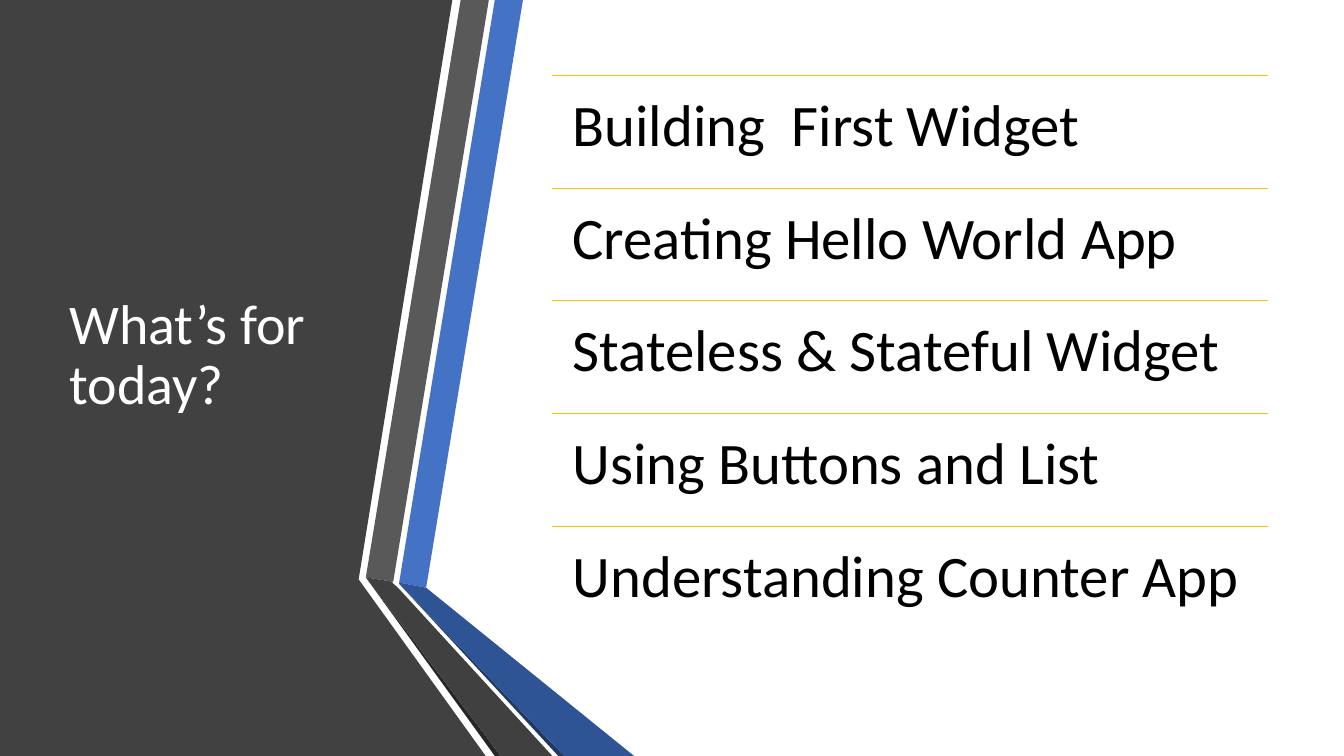
from lxml import etree
from pptx import Presentation
from pptx import util as u
from pptx.dml.color import RGBColor
from pptx.enum import shapes, text
from pptx.oxml.ns import qn


def rgb(value):
    return RGBColor.from_string(value)


def add_text(s, content, box, inset_x, inset_y, size, color, anchor):
    tf = s.shapes.add_textbox(*[u.Cm(v) for v in box]).text_frame
    tf.word_wrap = True
    tf.vertical_anchor = anchor
    tf.margin_left = tf.margin_right = u.Cm(inset_x)
    tf.margin_top = tf.margin_bottom = u.Cm(inset_y)
    tf.text = content
    p = tf.paragraphs[0]
    p.line_spacing = 0.9
    font = p.runs[0].font
    font.name = "Calibri"
    font.size = u.Pt(size)
    font.color.rgb = rgb(color)


prs = Presentation()
prs.slide_width = u.Cm(33.87)
prs.slide_height = u.Cm(19.05)
s = prs.slides.add_slide(prs.slide_layouts[6])

bottom = 19.05
bands = [
    ("414141", [(0, 0), (11.4, 0), (9.04, 14.6), (12.24, bottom), (0, bottom)]),
    ("4472C4", [(10.06, 14.68), (10.74, 14.81), (13.18, 0), (12.47, 0)]),
    ("595959", [(12.32, 0), (11.61, 0), (9.22, 14.55), (9.91, 14.66)]),
    ("262626", [(9.22, 14.55), (12.47, bottom), (12.62, bottom)]),
    ("1F3864", [(10.06, 14.71), (14.07, bottom), (14.22, bottom)]),
    ("2F5496", [(10.06, 14.71), (14.22, bottom), (15.98, bottom),
                (10.74, 14.81), (10.06, 14.68)]),
    ("404040", [(13.92, bottom), (10.03, 14.81), (9.88, 14.68),
                (9.91, 14.66), (9.22, 14.55), (12.62, bottom)]),
]
for color, outline in bands:
    points = [(u.Cm(x), u.Cm(y)) for x, y in outline]
    builder = s.shapes.build_freeform(*points[0])
    builder.add_line_segments(points[1:], close=True)
    sp = builder.convert_to_shape()
    sp.shadow.inherit = False
    sp.fill.solid()
    sp.fill.fore_color.rgb = rgb(color)
    sp.line.fill.background()

add_text(s, "What’s for today?", (1.5, 1.9, 7.72, 14.17), 0.25, 0.13, 40,
         "FFFFFF", text.MSO_ANCHOR.MIDDLE)

topics = [
    "Building  First Widget",
    "Creating Hello World App",
    "Stateless & Stateful Widget",
    "Using Buttons and List",
    "Understanding Counter App",
]
left, top, width, row = 13.92, 1.9, 18.03, 2.84
for i, topic in enumerate(topics):
    y = top + i * row
    rule = s.shapes.add_connector(shapes.MSO_CONNECTOR.STRAIGHT, u.Cm(left),
                                  u.Cm(y), u.Cm(left + width), u.Cm(y))
    rule.line.color.rgb = rgb("FFC000")
    rule.line.width = u.Pt(0.75)
    etree.SubElement(rule._element.spPr, qn("a:effectLst"))
    add_text(s, topic, (left, y, width, row), 0.51, 0.51, 42,
             "000000", text.MSO_ANCHOR.TOP)

prs.save("out.pptx")
